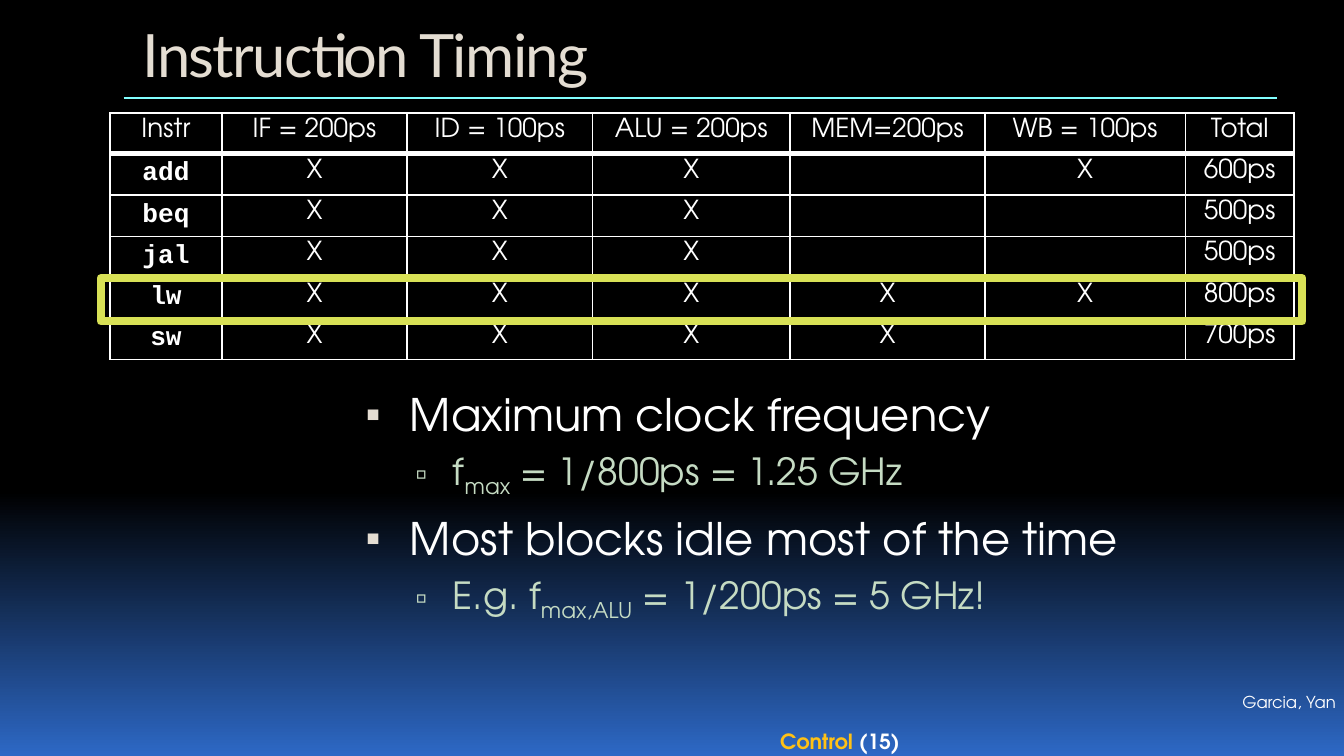
"""Build the instruction timing slide: a stage table, clock bullets and a highlighted row."""
import pptx
import pptx.dml.color
import pptx.enum.shapes
import pptx.enum.text
import pptx.oxml.ns
import pptx.util
from dataclasses import dataclass
from lxml import etree
from pptx.util import Inches


@dataclass(frozen=True)
class Theme:
    body_font: str = "TeX Gyre Adventor"
    title_font: str = "Lato"
    code_font: str = "Courier New"
    black: str = "000000"
    blue: str = "2D68C5"
    white: str = "FFFFFF"
    cream: str = "E4DDD2"
    green: str = "C5DBC3"
    cyan: str = "82FFFF"
    gold: str = "FFC115"
    lime: str = "D8E156"
    title_size: float = 32
    bullet_sizes: tuple = (24, 20)
    table_size: float = 14
    footer_size: float = 11.2
    credit_size: float = 8.8


THEME = Theme()
TITLE = "Instruction Timing"
STAGES = ["IF = 200ps", "ID = 100ps", "ALU = 200ps", "MEM=200ps", "WB = 100ps"]
INSTRUCTIONS = [
    ("add", (1, 1, 1, 0, 1), "600ps"),
    ("beq", (1, 1, 1, 0, 0), "500ps"),
    ("jal", (1, 1, 1, 0, 0), "500ps"),
    ("lw", (1, 1, 1, 1, 1), "800ps"),
    ("sw", (1, 1, 1, 1, 0), "700ps"),
]
BULLETS = [
    (0, ["Maximum clock frequency"]),
    (1, ["f", "max", " = 1/800ps = 1.25 GHz"]),
    (0, ["Most blocks idle most of the time"]),
    (1, ["E.g. f", "max,ALU", " = 1/200ps = 5 GHz!"]),
]
BULLET_LEVELS = [
    {"char": "▪", "scale": 95, "left": 0.41, "hang": 0.33, "before": 6.2},
    {"char": "▫", "scale": 90, "left": 0.73, "hang": 0.28, "before": 4},
]
COLUMN_WIDTHS = [0.83, 1.38, 1.38, 1.47, 1.45, 1.49, 0.81]
TABLE_HEIGHT = 1.83
CENTER = pptx.enum.text.PP_ALIGN.CENTER
LEFT = pptx.enum.text.PP_ALIGN.LEFT
RIGHT = pptx.enum.text.PP_ALIGN.RIGHT


def rgb(color):
    return pptx.dml.color.RGBColor.from_string(color)


def add_element(parent, tag, **attributes):
    return etree.SubElement(parent, pptx.oxml.ns.qn(tag), **attributes)


def style(span, size, color, font=THEME.body_font, bold=False):
    span.font.size = pptx.util.Pt(size)
    span.font.name = font
    span.font.bold = bold
    span.font.color.rgb = rgb(color)


def set_frame(box, place, horizontal, vertical):
    box.left, box.top, box.width, box.height = map(Inches, place)
    frame = box.text_frame
    frame.word_wrap = True
    frame.auto_size = pptx.enum.text.MSO_AUTO_SIZE.NONE
    frame.vertical_anchor = pptx.enum.text.MSO_ANCHOR.TOP
    frame.margin_left = frame.margin_right = Inches(horizontal)
    frame.margin_top = frame.margin_bottom = Inches(vertical)
    return frame


def add_label(slide, place, align, size, parts):
    box = slide.shapes.add_textbox(0, 0, 0, 0)
    para = set_frame(box, place, 0.06, 0.02).paragraphs[0]
    para.alignment = align
    for text, color, bold in parts:
        span = para.add_run()
        span.text = text
        style(span, size, color, bold=bold)


def fill_title(box):
    frame = set_frame(box, (0.92, 0.06, 8.61, 0.62), 0.14, 0.07)
    frame.text = TITLE
    para = frame.paragraphs[0]
    para.alignment = LEFT
    style(para.runs[0], THEME.title_size, THEME.cream, THEME.title_font)
    para.runs[0].font._element.set("spc", "-90")


def fill_body(box):
    frame = set_frame(box, (2.5, 2.81, 7.03, 2.33), 0.14, 0.07)
    for index, (level, parts) in enumerate(BULLETS):
        para = frame.add_paragraph() if index else frame.paragraphs[0]
        rule = BULLET_LEVELS[level]
        para.level = level
        para.space_before = pptx.util.Pt(rule["before"] if index else 0)
        properties = para._p.get_or_add_pPr()
        properties.set("marL", str(Inches(rule["left"])))
        properties.set("indent", str(-Inches(rule["hang"])))
        if level == 0:
            bullet_color = add_element(properties, "a:buClr")
            add_element(bullet_color, "a:srgbClr", val=THEME.cream)
        add_element(properties, "a:buSzPct", val=str(rule["scale"] * 1000))
        add_element(properties, "a:buChar", char=rule["char"])
        for position, text in enumerate(parts):
            span = para.add_run()
            span.text = text
            style(span, THEME.bullet_sizes[level], (THEME.white, THEME.green)[level])
            if position == 1:
                span.font._element.set("baseline", "-25000")


def set_borders(cell, widths):
    properties = cell._tc.get_or_add_tcPr()
    for side in "LRTB":
        line = add_element(properties, f"a:ln{side}", w=str(pptx.util.Pt(widths.get(side, 1))))
        add_element(add_element(line, "a:solidFill"), "a:srgbClr", val=THEME.white)


def add_timing_table(slide):
    rows = [["Instr", *STAGES, "Total"]]
    rows += [[name, *("X" if used else "" for used in stages), total]
             for name, stages, total in INSTRUCTIONS]
    frame = slide.shapes.add_table(
        len(rows), len(COLUMN_WIDTHS), Inches(0.82), Inches(0.84),
        Inches(sum(COLUMN_WIDTHS)), Inches(TABLE_HEIGHT))
    table = frame.table
    table.first_row = table.horz_banding = False
    for column, width in zip(table.columns, COLUMN_WIDTHS):
        column.width = Inches(width)
    for row_index, values in enumerate(rows):
        table.rows[row_index].height = Inches(TABLE_HEIGHT / len(rows))
        for column_index, text in enumerate(values):
            cell = table.cell(row_index, column_index)
            cell.margin_left = cell.margin_right = Inches(0.1)
            cell.margin_top, cell.margin_bottom = Inches(0.04), Inches(0.03)
            set_borders(cell, {0: {"B": 3}, 1: {"T": 3}}.get(row_index, {}))
            cell.fill.background()
            para = cell.text_frame.paragraphs[0]
            para.alignment = CENTER
            if text:
                is_code = row_index > 0 and column_index == 0
                para.text = text
                style(para.runs[0], THEME.table_size, THEME.white,
                      THEME.code_font if is_code else THEME.body_font, is_code)
            else:
                add_element(para._p, "a:endParaRPr", sz=str(THEME.table_size * 100))


def add_title_rule(slide):
    rule = slide.shapes.add_connector(
        pptx.enum.shapes.MSO_CONNECTOR.STRAIGHT,
        Inches(0.92), Inches(0.73), Inches(9.5), Inches(0.73))
    rule.line.color.rgb = rgb(THEME.cyan)
    rule.line.width = pptx.util.Pt(1.5)
    add_element(rule._element.spPr, "a:effectLst")


def add_row_highlight(slide):
    highlight = slide.shapes.add_shape(
        pptx.enum.shapes.MSO_SHAPE.RECTANGLE,
        Inches(0.75), Inches(2.07), Inches(8.94), Inches(0.32))
    highlight.shadow.inherit = False
    highlight.fill.background()
    highlight.line.color.rgb = rgb(THEME.lime)
    highlight.line.width = pptx.util.Pt(4.5)
    add_element(highlight.line._get_or_add_ln(), "a:round")


def main():
    deck = pptx.Presentation()
    deck.slide_width, deck.slide_height = Inches(10), Inches(10 * 9 / 16)
    slide = deck.slides.add_slide(deck.slide_layouts[1])
    background = slide.background.fill
    background.gradient()
    background.gradient_angle = 270
    stops = [(0.65, THEME.black), (1, THEME.blue)]
    for stop, (position, color) in zip(background.gradient_stops, stops):
        stop.position = position
        stop.color.rgb = rgb(color)
    add_label(slide, (2.5, 5.4, 7.5, 0.24), CENTER, THEME.footer_size,
              [("Control ", THEME.gold, True), ("(15)", THEME.white, True)])
    add_title_rule(slide)
    add_label(slide, (8.92, 5.13, 1.08, 0.2), RIGHT, THEME.credit_size,
              [("Garcia, Yan", THEME.white, False)])
    fill_body(slide.placeholders[1])
    fill_title(slide.shapes.title)
    add_timing_table(slide)
    add_row_highlight(slide)
    deck.save("out.pptx")


if __name__ == "__main__":
    main()
